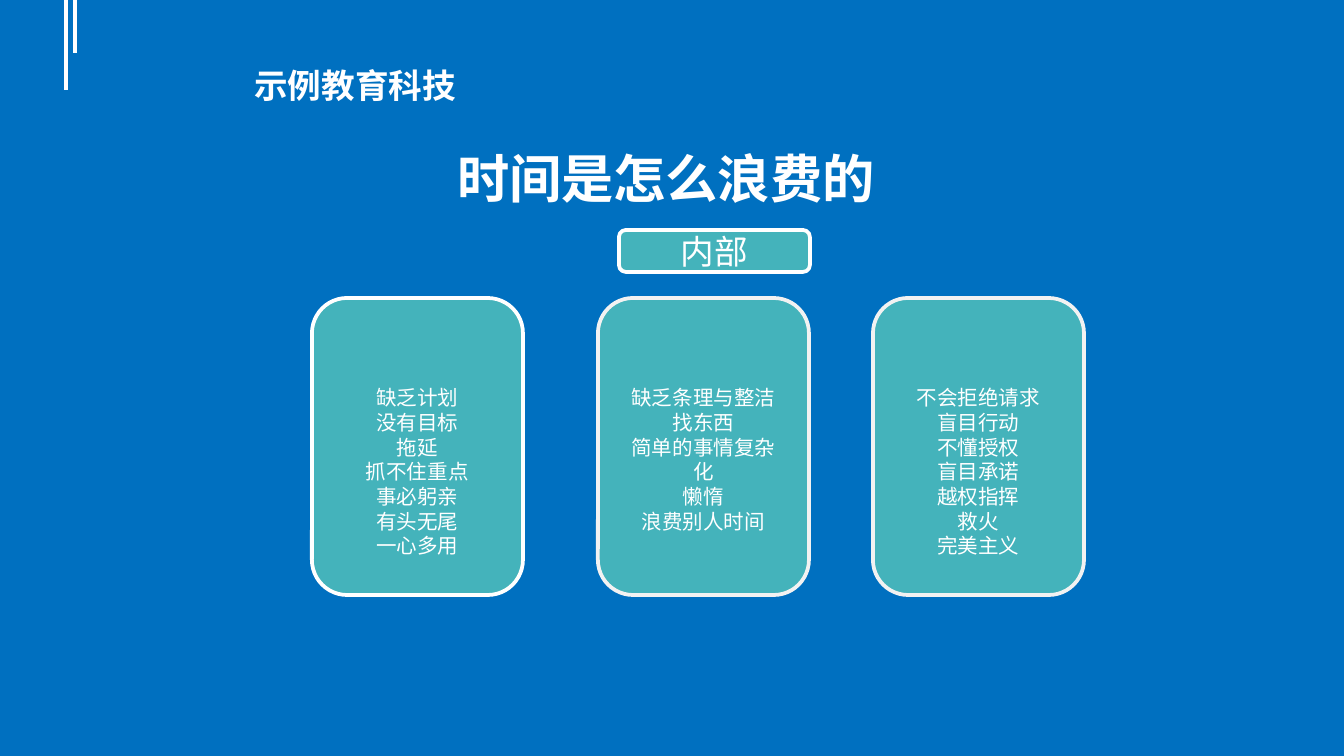
from dataclasses import dataclass

from lxml import etree
from pptx import Presentation
from pptx.dml.color import RGBColor
from pptx.enum.shapes import MSO_CONNECTOR, MSO_SHAPE
from pptx.enum.text import MSO_ANCHOR, MSO_AUTO_SIZE, PP_ALIGN
from pptx.oxml.ns import qn
from pptx.util import Emu, Pt

STRAIGHT = MSO_CONNECTOR.STRAIGHT
ROUNDED = MSO_SHAPE.ROUNDED_RECTANGLE
TOP, MIDDLE = MSO_ANCHOR.TOP, MSO_ANCHOR.MIDDLE
LEFT, CENTER = PP_ALIGN.LEFT, PP_ALIGN.CENTER
NO_AUTOFIT = MSO_AUTO_SIZE.NONE
TITLE_ONLY = 5

PX_PER_INCH = 134.4
PAGE_SIZE = (1344, 756)
CARD_TOP, CARD_WIDTH, CARD_HEIGHT = 298, 211, 297
CARD_TEXT_INSET = 77


@dataclass(frozen=True)
class Theme:
    font: str = "DejaVu Sans"
    background: RGBColor = RGBColor(0x00, 0x70, 0xC0)
    panel: RGBColor = RGBColor(0x44, 0xB3, 0xBB)
    white: RGBColor = RGBColor(0xFF, 0xFF, 0xFF)
    pale: RGBColor = RGBColor(0xF2, 0xF2, 0xF2)
    title_size: int = 28
    heading_size: int = 18
    item_size: int = 11
    outline: float = 2
    accent_line: float = 2.25


THEME = Theme()

CARDS = [
    (312, THEME.white, ["缺乏计划", "没有目标", "拖延", "抓不住重点",
                        "事必躬亲", "有头无尾", "一心多用"]),
    (598, THEME.pale, ["缺乏条理与整洁", "找东西", "简单的事情复杂化",
                       "懒惰", "浪费别人时间"]),
    (873, THEME.pale, ["不会拒绝请求", "盲目行动", "不懂授权", "盲目承诺",
                       "越权指挥", "救火", "完美主义"]),
]


def px(length):
    return Emu(round(length * 914400 / PX_PER_INCH))


def write_text(shape, lines, size, bold=False, align=LEFT, anchor=MIDDLE):
    frame = shape.text_frame
    frame.text = "\n".join(lines)
    frame.word_wrap = True
    frame.auto_size = NO_AUTOFIT
    frame.vertical_anchor = anchor
    for para in frame.paragraphs:
        para.alignment = align
        for span in para.runs:
            span.font.name = THEME.font
            span.font.size = Pt(size)
            span.font.bold = bold
            span.font.color.rgb = THEME.white


def add_accent_line(page, x, length):
    line = page.shapes.add_connector(STRAIGHT, px(x), 0, px(x), px(length))
    line.line.color.rgb = THEME.white
    line.line.width = Pt(THEME.accent_line)
    properties = line._element.find(qn("p:spPr"))
    etree.SubElement(properties, qn("a:effectLst"))


def add_title(page, text):
    title = page.shapes.title
    title.left, title.top = px(407), px(140)
    title.width, title.height = px(645), px(75)
    write_text(title, [text], THEME.title_size, bold=True)
    title.text_frame.margin_left = px(50)


def add_organisation(page, text):
    box = page.shapes.add_textbox(px(241), px(58), px(275), px(86))
    write_text(box, [text], THEME.heading_size, bold=True, anchor=TOP)


def add_panel(page, left, top, width, height, outline):
    panel = page.shapes.add_shape(ROUNDED, px(left), px(top), px(width), px(height))
    panel.shadow.inherit = False
    panel.fill.solid()
    panel.fill.fore_color.rgb = THEME.panel
    panel.line.color.rgb = outline
    panel.line.width = Pt(THEME.outline)
    return panel


def add_card(page, left, outline, items):
    card = add_panel(page, left, CARD_TOP, CARD_WIDTH, CARD_HEIGHT, outline)
    write_text(card, items, THEME.item_size, align=CENTER, anchor=TOP)
    card.text_frame.margin_top = px(CARD_TEXT_INSET)


def main():
    deck = Presentation()
    deck.slide_width, deck.slide_height = map(px, PAGE_SIZE)
    page = deck.slides.add_slide(deck.slide_layouts[TITLE_ONLY])
    page.background.fill.solid()
    page.background.fill.fore_color.rgb = THEME.background

    add_accent_line(page, 66, 90)
    add_accent_line(page, 75, 53)
    add_organisation(page, "示例教育科技")
    add_title(page, "时间是怎么浪费的")

    label = add_panel(page, 619, 230, 191, 42, THEME.white)
    write_text(label, ["内部"], THEME.heading_size, align=CENTER)
    for left, outline, items in CARDS:
        add_card(page, left, outline, items)

    deck.save("out.pptx")


if __name__ == "__main__":
    main()
